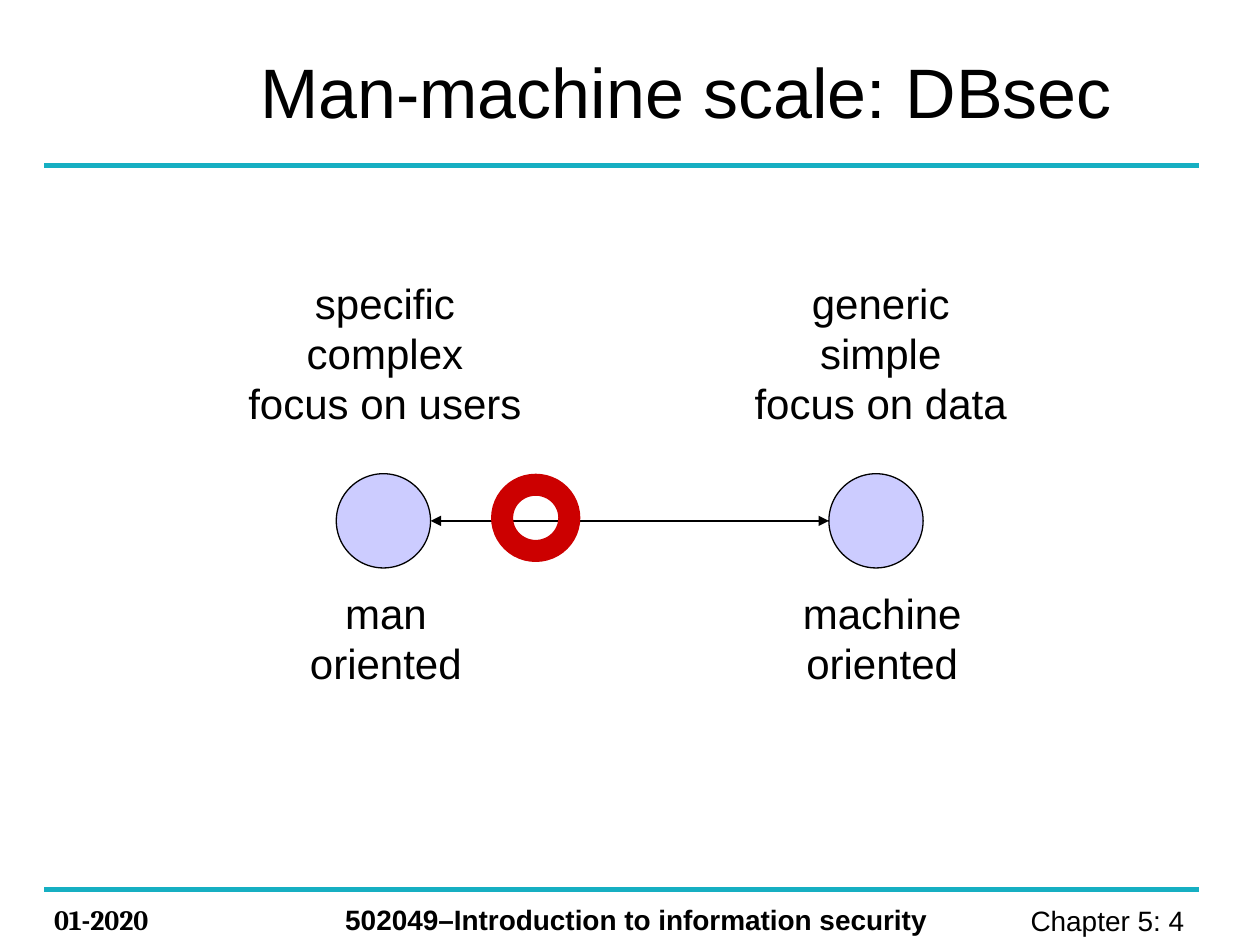
"""Build the man-machine scale slide for database security."""
from lxml import etree
from pptx import Presentation, util as u
from pptx.dml.color import RGBColor
from pptx.enum import shapes, text
from pptx.oxml.ns import qn

COLORS = {"rule": "16AFC2", "ink": "000000", "end": "CCCCFF", "marker": "CC0000"}
LEFT, CENTER, RIGHT = text.PP_ALIGN.LEFT, text.PP_ALIGN.CENTER, text.PP_ALIGN.RIGHT


def rgb(name):
    """Return the named colour."""
    return RGBColor.from_string(COLORS[name])


def add_text(slide, box, lines, size, align=LEFT, font="Arial", bold=False,
             wrap=True, spacing=None, anchor=text.MSO_ANCHOR.TOP):
    """Add a text box with one paragraph per line."""
    sp = slide.shapes.add_textbox(*map(u.Cm, box))
    tf = sp.text_frame
    tf.text = "\n".join(lines)
    tf.word_wrap = wrap
    tf.vertical_anchor = anchor
    for p in tf.paragraphs:
        p.alignment = align
        p.line_spacing = spacing
        for r in p.runs:
            r.font.name, r.font.size, r.font.bold = font, u.Pt(size), bold
            r.font.color.rgb = rgb("ink")


def add_label(slide, box, lines):
    """Add a centred label at one end of the scale."""
    add_text(slide, box, lines, 24, CENTER, wrap=False, spacing=u.Pt(28.8))


def add_round(slide, kind, box, fill, line=None):
    """Add a filled round shape, outlined if a line colour is given."""
    sp = slide.shapes.add_shape(kind, *map(u.Cm, box))
    sp.shadow.inherit = False
    sp.fill.solid()
    sp.fill.fore_color.rgb = rgb(fill)
    if line:
        sp.line.color.rgb = rgb(line)
        sp.line.width = u.Pt(0.75)
    else:
        sp.line.fill.background()


def add_line(slide, x1, x2, y, color, width):
    """Add a horizontal line without shadow."""
    cn = slide.shapes.add_connector(
        shapes.MSO_CONNECTOR.STRAIGHT, u.Cm(x1), u.Cm(y), u.Cm(x2), u.Cm(y))
    cn.line.color.rgb = rgb(color)
    cn.line.width = u.Pt(width)
    etree.SubElement(cn._element.spPr, qn("a:effectLst"))
    return cn


def add_scale(slide):
    """Add the two ends, the double arrow between them and the marker."""
    for x in (6.78, 16.71):
        add_round(slide, shapes.MSO_SHAPE.OVAL, (x, 9.55, 1.9, 1.9), "end", "ink")
    cn = add_line(slide, 8.68, 16.71, 10.5, "ink", 1.5)
    ln = cn._element.spPr.find(qn("a:ln"))
    for tag in ("a:headEnd", "a:tailEnd"):
        etree.SubElement(ln, qn(tag), type="triangle")
    add_round(slide, shapes.MSO_SHAPE.DONUT, (9.9, 9.55, 1.8, 1.78), "marker")


def main():
    """Build and save the slide."""
    prs = Presentation()
    prs.slide_width, prs.slide_height = u.Cm(25.4), u.Cm(19.05)
    slide = prs.slides.add_slide(prs.slide_layouts[6])

    for y in (3.33, 17.93):
        add_line(slide, 0.89, 24.18, y, "rule", 3)
    add_text(slide, (18.69, 18.08, 5.59, 0.94), ["Chapter 5: 4 "], 16, RIGHT)
    add_text(slide, (0.84, 18.06, 3.38, 0.94), ["01-2020"], 16,
             font="Cambria", bold=True)
    add_text(slide, (6.71, 18.06, 12.8, 0.94),
             ["502049–Introduction to information security"], 16, bold=True)
    add_text(slide, (5, 0.71, 20.4, 2.21), ["Man-machine scale: DBsec"], 40,
             anchor=text.MSO_ANCHOR.MIDDLE)

    add_scale(slide)
    add_label(slide, (4.75, 5.46, 6.02, 3.3),
              ["specific", "complex", "focus on users"])
    add_label(slide, (14.96, 5.46, 5.59, 3.3),
              ["generic", "simple", "focus on data"])
    add_label(slide, (5.99, 11.71, 3.58, 2.29), ["man", "oriented"])
    add_label(slide, (15.93, 11.71, 3.71, 2.29), ["machine", "oriented"])
    prs.save("out.pptx")


if __name__ == "__main__":
    main()
